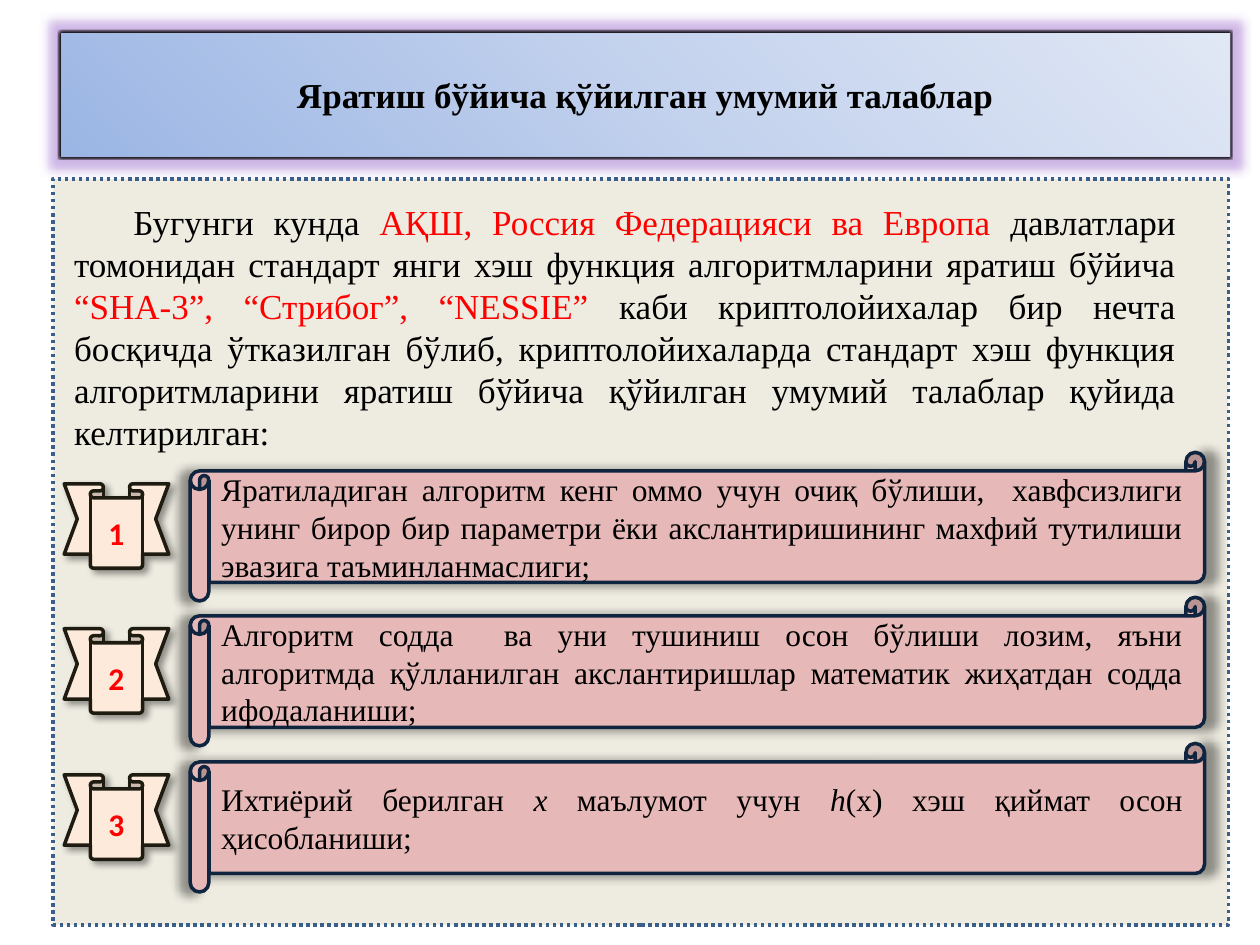
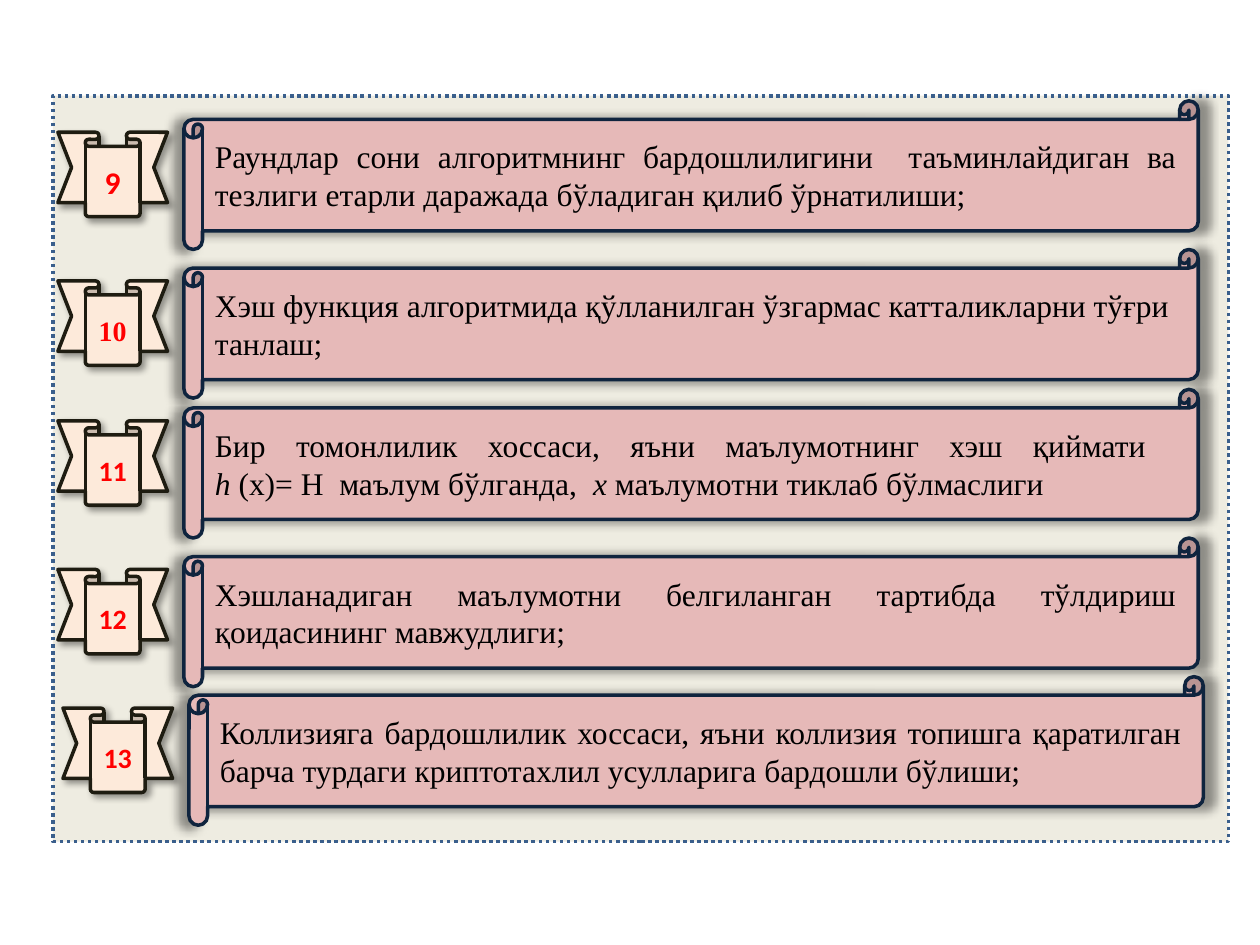
from dataclasses import dataclass
from pptx import Presentation
from pptx.dml.color import RGBColor
from pptx.enum.dml import MSO_LINE
from pptx.enum.shapes import MSO_SHAPE as Geo
from pptx.enum.text import MSO_ANCHOR as Anchor, PP_ALIGN as Align
from pptx.oxml import parse_xml
from pptx.util import Emu, Inches, Pt

WIDTH, HEIGHT = Inches(10), Inches(7.5)
COLS, ROWS = 100, 75
TITLE_ONLY, BLANK = 5, 6

BLACK = RGBColor(0x00, 0x00, 0x00)
RED = RGBColor(0xFF, 0x00, 0x00)
PANEL_FILL = RGBColor(0xEE, 0xEC, 0xE1)
PANEL_LINE = RGBColor(0x3A, 0x5F, 0x8C)
SCROLL_FILL = RGBColor(0xE6, 0xB9, 0xB8)
SCROLL_LINE = RGBColor(0x0F, 0x24, 0x3E)
BADGE_FILL = RGBColor(0xFD, 0xEA, 0xDA)
BADGE_LINE = RGBColor(0x1E, 0x1C, 0x11)
GLOW = RGBColor(0x84, 0x47, 0xC0)
TITLE_STOPS = (
    (0, RGBColor(0x9A, 0xB5, 0xE4)),
    (50, RGBColor(0xC2, 0xD1, 0xED)),
    (100, RGBColor(0xE1, 0xE8, 0xF5)),
)

SERIF, SANS = "Times New Roman", "Calibri"
TITLE_FONT = {"size": Pt(20), "name": SERIF, "bold": True}
INTRO_FONT = {"size": Pt(20), "name": SERIF}
ITEM_FONT = {"size": Pt(18), "name": SERIF}
ITALIC = {"italic": True}

NS = 'xmlns:a="http://schemas.openxmlformats.org/drawingml/2006/main"'
SCROLL_SHADOW = 'blurRad="63500" sx="102000" sy="102000" algn="ctr"'
BADGE_SHADOW = 'blurRad="50800" dist="38100" dir="2700000" algn="tl"'
BREAK = "\n"


@dataclass(frozen=True)
class Run:
    text: str
    font: dict | None = None
    color: RGBColor = BLACK


@dataclass(frozen=True)
class Box:
    left: float
    top: float
    width: float
    height: float

    def emu(self) -> tuple:
        cw, rh = WIDTH / COLS, HEIGHT / ROWS
        return tuple(Emu(round(v)) for v in (
            self.left * cw, self.top * rh, self.width * cw, self.height * rh))


@dataclass(frozen=True)
class BadgeStyle:
    width: float
    size: int
    left: float


@dataclass(frozen=True)
class Item:
    number: str
    top: float
    runs: tuple
    align: Align = Align.JUSTIFY
    badge_font: str = SANS
    shift: float = 0


def write(p, runs: tuple, font: dict, align: Align) -> None:
    p.alignment = align
    for run in runs:
        if run.text == BREAK:
            p.add_line_break()
            continue
        r = p.add_run()
        r.text = run.text
        for key, value in {**font, **(run.font or {})}.items():
            setattr(r.font, key, value)
        r.font.color.rgb = run.color


def color_xml(color: RGBColor, alpha: int) -> str:
    return f'<a:srgbClr val="{color}"><a:alpha val="{alpha * 1000}"/></a:srgbClr>'


def add_effects(sp, inner: str) -> None:
    ln = sp.line._get_or_add_ln()
    ln.addnext(parse_xml(f"<a:effectLst {NS}>{inner}</a:effectLst>"))


def add_box(slide, geo: Geo, box: Box, fill: RGBColor, line: RGBColor, shadow: str = ""):
    sp = slide.shapes.add_shape(geo, *box.emu())
    sp.fill.solid()
    sp.fill.fore_color.rgb = fill
    sp.line.color.rgb = line
    sp.line.width = Pt(2)
    if shadow:
        add_effects(sp, f'<a:outerShdw {shadow} rotWithShape="0">'
                        f"{color_xml(BLACK, 40)}</a:outerShdw>")
    else:
        sp.shadow.inherit = False
    sp.text_frame.word_wrap = True
    sp.text_frame.vertical_anchor = Anchor.MIDDLE
    return sp


def add_panel(slide, top: float) -> None:
    sp = add_box(slide, Geo.RECTANGLE, Box(4.2, top, 93.3, 59.2), PANEL_FILL, PANEL_LINE)
    sp.line.dash_style = MSO_LINE.ROUND_DOT


def add_title(slide, text: str) -> None:
    sp = slide.shapes.title
    sp.left, sp.top, sp.width, sp.height = Box(4.7, 2.5, 93, 10).emu()
    stops = "".join(f'<a:gs pos="{pos * 1000}"><a:srgbClr val="{c}"/></a:gs>'
                    for pos, c in TITLE_STOPS)
    xfrm = sp.element.spPr.xfrm
    xfrm.addnext(parse_xml(
        f'<a:gradFill {NS} rotWithShape="1"><a:gsLst>{stops}</a:gsLst><a:path path="circle">'
        '<a:fillToRect t="100000" r="100000"/></a:path></a:gradFill>'))
    xfrm.addnext(parse_xml(f'<a:prstGeom {NS} prst="rect"><a:avLst/></a:prstGeom>'))
    sp.line.color.rgb = BLACK
    sp.line.width = Pt(2)
    add_effects(sp, f'<a:glow rad="139700">{color_xml(GLOW, 40)}</a:glow>'
                    '<a:softEdge rad="12700"/>')
    tf = sp.text_frame
    tf.vertical_anchor = Anchor.MIDDLE
    write(tf.paragraphs[0], (Run(text),), TITLE_FONT, Align.CENTER)


def add_intro(slide, runs: tuple) -> None:
    tf = slide.shapes.add_textbox(*Box(4.9, 15.4, 89.4, 22.1).emu()).text_frame
    tf.word_wrap = True
    p = tf.paragraphs[0]
    p._p.get_or_add_pPr().set("indent", str(Inches(0.47)))
    write(p, runs, INTRO_FONT, Align.JUSTIFY)


def add_items(slide, items: tuple, scroll_left: float, badge: BadgeStyle) -> None:
    for item in items:
        scroll = add_box(slide, Geo.HORIZONTAL_SCROLL,
                         Box(scroll_left + item.shift, item.top, 80.5, 11.8),
                         SCROLL_FILL, SCROLL_LINE, SCROLL_SHADOW)
        write(scroll.text_frame.paragraphs[0], item.runs, ITEM_FONT, item.align)
        ribbon = add_box(slide, Geo.DOWN_RIBBON,
                         Box(badge.left + item.shift, item.top + 2.5, badge.width, 6.7),
                         BADGE_FILL, BADGE_LINE, BADGE_SHADOW)
        size = 18 if len(item.number) == 1 else badge.size
        font = {"size": Pt(size), "name": item.badge_font, "bold": True}
        write(ribbon.text_frame.paragraphs[0], (Run(item.number, color=RED),),
              font, Align.CENTER)


INTRO = (
    Run("Бугунги кунда "),
    Run("АҚШ, Россия Федерацияси ва Европа ", color=RED),
    Run("давлатлари томонидан стандарт янги хэш функция алгоритмларини яратиш бўйича "),
    Run("“SHA-3”, “Стрибог”, “NESSIE” ", color=RED),
    Run("каби криптолойихалар бир нечта босқичда ўтказилган бўлиб, криптолойихаларда "
        "стандарт хэш функция алгоритмларини яратиш бўйича қўйилган умумий талаблар "
        "қуйида келтирилган:"),
)
FIRST_ITEMS = (
    Item("1", 35.9, (Run(
        "Яратиладиган алгоритм кенг оммо учун очиқ бўлиши,  хавфсизлиги унинг бирор бир "
        "параметри ёки акслантиришининг махфий тутилиши эвазига таъминланмаслиги;"),)),
    Item("2", 47.4, (Run(
        "Алгоритм содда  ва уни тушиниш осон бўлиши лозим, яъни алгоритмда қўлланилган "
        "акслантиришлар математик жиҳатдан содда ифодаланиши;"),)),
    Item("3", 59, (
        Run("Ихтиёрий берилган "), Run("х", ITALIC), Run(" маълумот учун "),
        Run("h", ITALIC), Run("(х) хэш қиймат осон ҳисобланиши;"))),
)
LAST_ITEMS = (
    Item("9", 8, (Run(
        "Раундлар сони алгоритмнинг бардошлилигини  таъминлайдиган ва тезлиги етарли "
        "даражада бўладиган қилиб ўрнатилиши;"),)),
    Item("10", 19.8, (Run(
        "Хэш функция алгоритмида қўлланилган ўзгармас катталикларни тўғри танлаш;"),),
        align=Align.LEFT, badge_font=SERIF),
    Item("11", 30.9, (
        Run("Бир томонлилик хоссаси, яъни маълумотнинг хэш қиймати "), Run(BREAK),
        Run("h", ITALIC), Run(" (х)= Н  маълум бўлганда,  "),
        Run("х", ITALIC), Run(" маълумотни тиклаб бўлмаслиги"))),
    Item("12", 42.7, (Run(
        "Хэшланадиган маълумотни белгиланган тартибда тўлдириш қоидасининг "
        "мавжудлиги;"),)),
    Item("13", 53.7, (Run(
        "Коллизияга бардошлилик хоссаси, яъни коллизия топишга қаратилган барча турдаги "
        "криптотахлил усулларига бардошли бўлиши;"),), shift=0.4),
)


def main() -> None:
    prs = Presentation()
    prs.slide_width, prs.slide_height = WIDTH, HEIGHT

    slide = prs.slides.add_slide(prs.slide_layouts[TITLE_ONLY])
    add_title(slide, "Яратиш бўйича қўйилган умумий талаблар")
    add_panel(slide, 14.2)
    add_intro(slide, INTRO)
    add_items(slide, FIRST_ITEMS, 15.1, BadgeStyle(8.3, 18, 5.1))

    slide = prs.slides.add_slide(prs.slide_layouts[BLANK])
    add_panel(slide, 7.6)
    add_items(slide, LAST_ITEMS, 14.6, BadgeStyle(8.7, 16, 4.6))

    prs.save("out.pptx")


if __name__ == "__main__":
    main()
